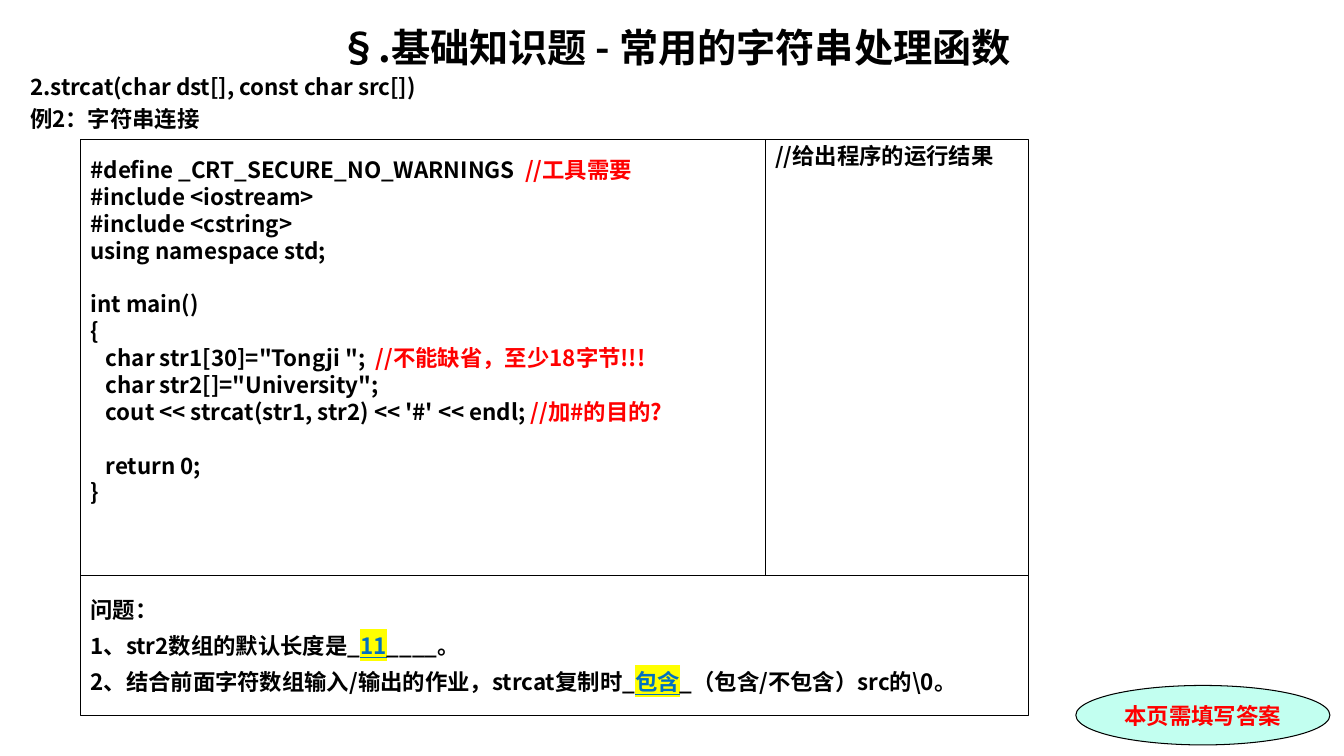
from dataclasses import dataclass

from lxml.etree import SubElement
from pptx import Presentation
from pptx.dml.color import RGBColor
from pptx.enum.shapes import MSO_SHAPE as Preset
from pptx.enum.text import MSO_ANCHOR as Anchor, PP_ALIGN as Align
from pptx.oxml.ns import qn
from pptx.util import Inches, Pt


@dataclass(frozen=True)
class Theme:
    font: str = "Noto Sans CJK SC"
    badge_font: str = "Times New Roman"
    title_size: float = 28
    body_size: float = 16
    line_ratio: float = 1.2
    ink: str = "000000"
    note: str = "FF0000"
    answer: str = "0070C0"
    marker: str = "FFFF00"
    badge: str = "C2FFF0"


THEME = Theme()

TITLE = "§.基础知识题 - 常用的字符串处理函数"
HEADINGS = ["2.strcat(char dst[], const char src[])", "例2：字符串连接"]
CODE = [
    ("#define _CRT_SECURE_NO_WARNINGS", "  //工具需要"),
    "#include <iostream>",
    "#include <cstring>",
    "using namespace std;",
    "",
    "int main()",
    "{",
    ('   char str1[30]="Tongji ";  ', "//不能缺省，至少18字节!!!"),
    '   char str2[]="University";',
    "   cout << strcat(str1, str2) << '#' << endl;",
    "",
    "   return 0;",
    "}",
]
CODE[9] = (CODE[9], " //加#的目的?")
QUESTIONS = [
    "问题：",
    ("1、str2数组的默认长度是_", "11", "____。"),
    ("2、结合前面字符数组输入/输出的作业，strcat复制时_", "包含", "_（包含/不包含）src的\\0。"),
]


def style_run(run, size=THEME.body_size, color=THEME.ink, font=THEME.font):
    run.font.size = Pt(size)
    run.font.bold = True
    run.font.color.rgb = RGBColor.from_string(color)
    run.font.name = font
    SubElement(run.font._element, qn("a:ea")).set("typeface", THEME.font)


def mark_answer(run):
    style_run(run, color=THEME.answer)
    run.font.underline = True
    properties = run.font._element
    highlight = SubElement(properties, qn("a:highlight"))
    SubElement(highlight, qn("a:srgbClr")).set("val", THEME.marker)
    properties.find(qn("a:latin")).addprevious(highlight)


def mark_note(run):
    style_run(run, color=THEME.note)


def write_lines(frame, lines, emphasize=style_run, gap=0, size=THEME.body_size):
    for index, line in enumerate(lines):
        paragraph = frame.paragraphs[0] if index == 0 else frame.add_paragraph()
        paragraph.alignment = Align.LEFT
        paragraph.line_spacing = Pt(size * THEME.line_ratio)
        paragraph.space_before = Pt(gap if index else 0)
        paragraph.font.size = Pt(size)
        pieces = (line,) if isinstance(line, str) else line
        for position, piece in enumerate(pieces):
            if piece:
                run = paragraph.add_run()
                run.text = piece
                emphasize(run) if position == 1 else style_run(run, size)


def set_insets(frame, top, anchor=Anchor.TOP):
    frame.margin_left = frame.margin_right = Inches(0.1)
    frame.margin_top = Inches(top)
    frame.margin_bottom = Inches(0.05)
    frame.vertical_anchor = anchor


def outlined(slide, box, preset=Preset.RECTANGLE):
    shape = slide.shapes.add_shape(preset, *map(Inches, box))
    shape.shadow.inherit = False
    shape.fill.background()
    shape.line.color.rgb = RGBColor.from_string(THEME.ink)
    shape.line.width = Pt(0.75)
    return shape


def add_title(slide, box):
    title = slide.shapes.title
    title.left, title.top, title.width, title.height = map(Inches, box)
    set_insets(title.text_frame, 0.05)
    write_lines(title.text_frame, [TITLE], size=THEME.title_size)
    title.text_frame.paragraphs[0].alignment = Align.CENTER


def add_headings(slide, box):
    frame = slide.shapes.add_textbox(*map(Inches, box)).text_frame
    frame.word_wrap = True
    set_insets(frame, 0.05)
    write_lines(frame, HEADINGS, gap=3.2)


def add_panel(slide, box, lines, top=0.05, anchor=Anchor.TOP, **style):
    frame = outlined(slide, box).text_frame
    frame.word_wrap = False
    set_insets(frame, top, anchor)
    write_lines(frame, lines, **style)


def add_exercise(slide, box):
    left, top, width, height = box
    code_width, code_height = 6.79, 4.33
    add_panel(slide, (left, top, code_width, code_height), CODE, 0.17, emphasize=mark_note)
    add_panel(slide, (left, top + code_height, width, height - code_height), QUESTIONS,
              anchor=Anchor.MIDDLE, emphasize=mark_answer, gap=6.7)
    add_panel(slide, (left + code_width, top, width - code_width, code_height),
              ["//给出程序的运行结果"], 0.03)


def add_badge(slide, box):
    badge = outlined(slide, box, Preset.OVAL)
    badge.fill.solid()
    badge.fill.fore_color.rgb = RGBColor.from_string(THEME.badge)
    frame = badge.text_frame
    frame.text = "本页需填写答案"
    frame.word_wrap = False
    set_insets(frame, 0.05, Anchor.MIDDLE)
    reminder = frame.paragraphs[0]
    reminder.alignment = Align.CENTER
    style_run(reminder.runs[0], color=THEME.note, font=THEME.badge_font)


def main():
    deck = Presentation()
    deck.slide_width, deck.slide_height = Inches(13.33), Inches(7.5)
    slide = deck.slides.add_slide(deck.slide_layouts[5])
    add_title(slide, (0.2, 0.18, 12.99, 0.56))
    add_headings(slide, (0.2, 0.68, 12.99, 0.68))
    add_badge(slide, (10.67, 6.8, 2.52, 0.59))
    add_exercise(slide, (0.8, 1.38, 9.4, 5.72))
    deck.save("out.pptx")


if __name__ == "__main__":
    main()
